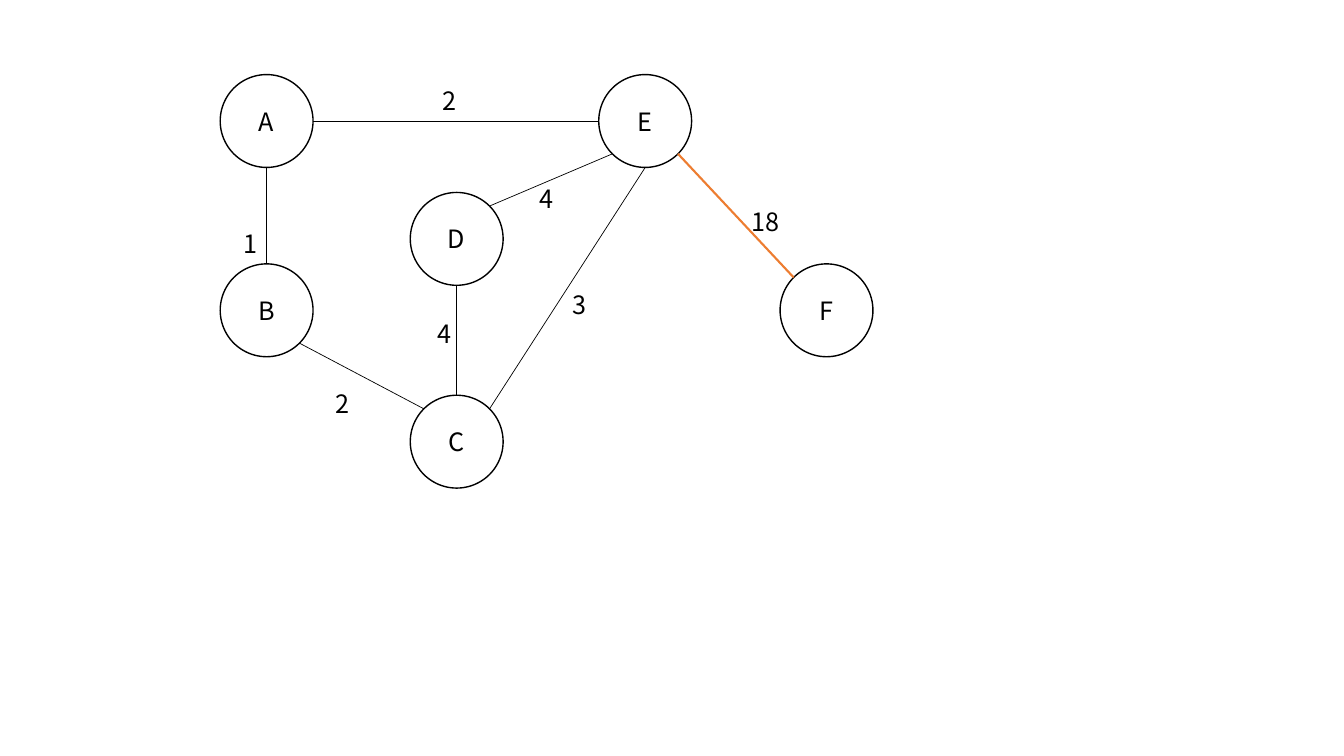
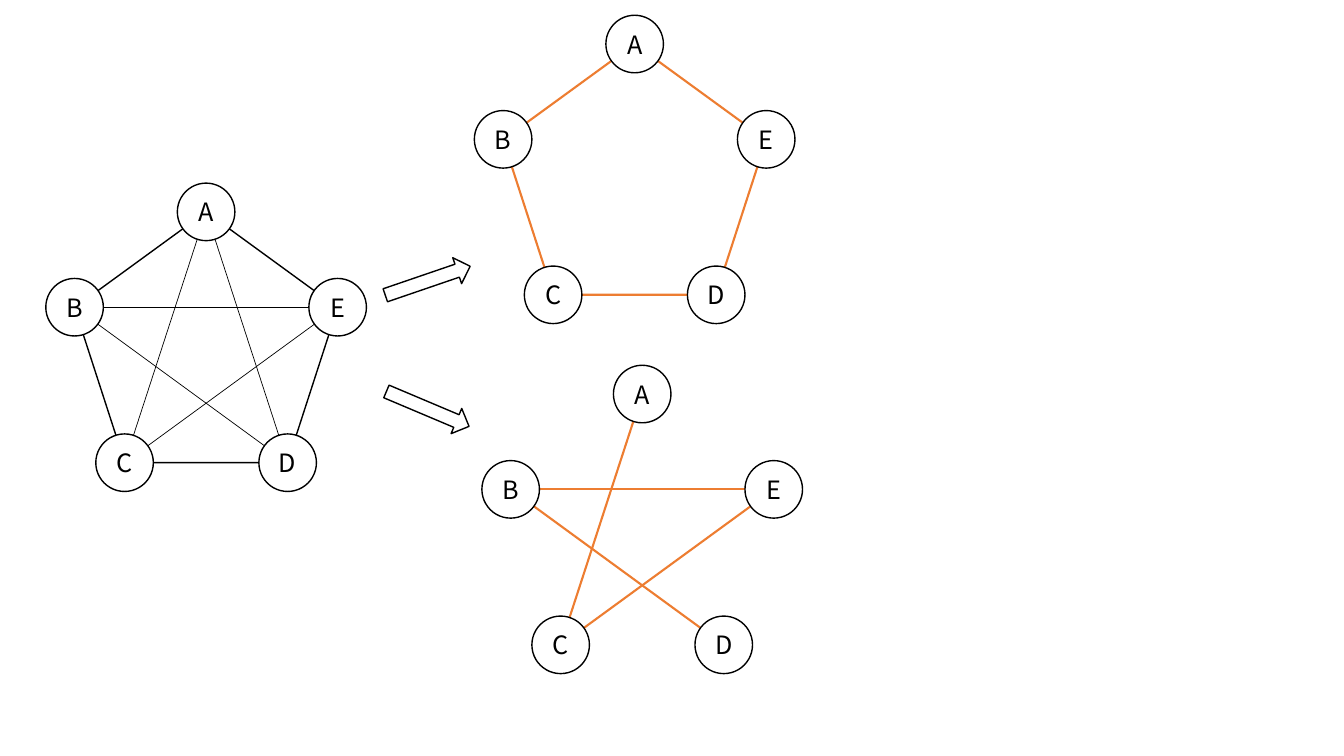
import dataclasses
import math

import lxml.etree
import pptx
import pptx.dml.color
import pptx.enum.shapes
import pptx.enum.text
import pptx.oxml.ns
import pptx.shapes.autoshape
import pptx.slide
import pptx.text.text
import pptx.util

Cm = pptx.util.Cm
Preset = pptx.enum.shapes.MSO_SHAPE
Color = pptx.dml.color.RGBColor

BLACK = Color(0x00, 0x00, 0x00)
WHITE = Color(0xFF, 0xFF, 0xFF)
ORANGE = Color(0xED, 0x7D, 0x31)
FONT = "Noto Sans CJK KR"
FONT_SIZE = 18

TOP, TOP_LEFT, LEFT, BOTTOM_LEFT, BOTTOM, BOTTOM_RIGHT, RIGHT, TOP_RIGHT = range(8)


@dataclasses.dataclass(frozen=True)
class Point:
    x: float
    y: float


@dataclasses.dataclass(frozen=True)
class Stroke:
    color: Color
    width: float


OUTLINE = Stroke(BLACK, 1)
THIN = Stroke(BLACK, 0.5)
ACCENT = Stroke(ORANGE, 1.5)


@dataclasses.dataclass(frozen=True)
class Node:
    name: str
    center: Point
    diameter: float

    def site(self, index: int) -> Point:
        angle = math.radians(90 + 45 * index)
        radius = self.diameter / 2
        return Point(
            self.center.x + radius * math.cos(angle),
            self.center.y - radius * math.sin(angle),
        )


@dataclasses.dataclass(frozen=True)
class Edge:
    start: str
    start_site: int
    end: str
    end_site: int
    weight: str
    label: Point
    stroke: Stroke = THIN


@dataclasses.dataclass(frozen=True)
class PentagonGraph:
    corner: Point
    border: Stroke | None
    diagonals: str
    diagonal_stroke: Stroke


@dataclasses.dataclass(frozen=True)
class Arrow:
    corner: Point
    rotation: float


COLUMNS = (6.72, 11.51, 16.26, 20.83)
UPPER_ROW, LOWER_ROW = 3.05, 7.82
WEIGHTED_DIAMETER = 2.34
WEIGHTED_NODES = {
    name: Node(name, Point(x, y), WEIGHTED_DIAMETER)
    for name, x, y in (
        ("A", COLUMNS[0], UPPER_ROW),
        ("B", COLUMNS[0], LOWER_ROW),
        ("D", COLUMNS[1], 6.02),
        ("E", COLUMNS[2], UPPER_ROW),
        ("F", COLUMNS[3], LOWER_ROW),
        ("C", COLUMNS[1], 11.13),
    )
}
WEIGHTED_EDGES = (
    Edge("A", RIGHT, "E", LEFT, "2", Point(10.9, 2.03)),
    Edge("A", BOTTOM, "B", TOP, "1", Point(5.89, 5.64)),
    Edge("B", BOTTOM_RIGHT, "C", TOP_LEFT, "2", Point(8.2, 9.65)),
    Edge("D", BOTTOM, "C", TOP, "4", Point(10.77, 7.9)),
    Edge("D", TOP_RIGHT, "E", BOTTOM_LEFT, "4", Point(13.34, 4.5)),
    Edge("C", TOP_RIGHT, "E", BOTTOM, "3", Point(14.17, 7.16)),
    Edge("E", BOTTOM_RIGHT, "F", TOP_LEFT, "18", Point(18.69, 5.08), ACCENT),
)

PENTAGON_WIDTH, PENTAGON_HEIGHT = 6.63, 6.32
PENTAGON_DIAMETER = 1.45
PENTAGON_GRAPHS = (
    PentagonGraph(Point(12.68, 1.11), ACCENT, "", ACCENT),
    PentagonGraph(Point(1.88, 5.34), OUTLINE, "BE CE AC AD BD", THIN),
    PentagonGraph(Point(12.87, 9.93), None, "BE CE AC BD", ACCENT),
)
ARROW_WIDTH, ARROW_HEIGHT = 2.26, 0.69
ARROWS = (Arrow(Point(9.65, 6.73), 341.1), Arrow(Point(9.65, 9.96), 22.9))


def write(para: pptx.text.text._Paragraph, words: str) -> None:
    span = para.add_run()
    span.text = words
    span.font.name = FONT
    span.font.size = pptx.util.Pt(FONT_SIZE)
    span.font.color.rgb = BLACK


def draw_shape(
    page: pptx.slide.Slide,
    preset: Preset,
    corner: Point,
    width: float,
    height: float,
    stroke: Stroke,
) -> pptx.shapes.autoshape.Shape:
    shape = page.shapes.add_shape(
        preset, Cm(corner.x), Cm(corner.y), Cm(width), Cm(height)
    )
    shape.shadow.inherit = False
    shape.fill.background()
    shape.line.color.rgb = stroke.color
    shape.line.width = pptx.util.Pt(stroke.width)
    return shape


def draw_line(
    page: pptx.slide.Slide, start: Point, end: Point, stroke: Stroke
) -> None:
    connector = page.shapes.add_connector(
        pptx.enum.shapes.MSO_CONNECTOR.STRAIGHT,
        Cm(start.x), Cm(start.y), Cm(end.x), Cm(end.y),
    )
    connector.line.color.rgb = stroke.color
    connector.line.width = pptx.util.Pt(stroke.width)
    lxml.etree.SubElement(
        connector.element.spPr, pptx.oxml.ns.qn("a:effectLst")
    )


def draw_node(page: pptx.slide.Slide, node: Node) -> None:
    radius = node.diameter / 2
    corner = Point(node.center.x - radius, node.center.y - radius)
    circle = draw_shape(
        page, Preset.OVAL, corner, node.diameter, node.diameter, OUTLINE
    )
    circle.fill.solid()
    circle.fill.fore_color.rgb = WHITE
    frame = circle.text_frame
    frame.margin_left = frame.margin_right = 0
    frame.margin_top = frame.margin_bottom = 0
    frame.vertical_anchor = pptx.enum.text.MSO_ANCHOR.MIDDLE
    para = frame.paragraphs[0]
    para.alignment = pptx.enum.text.PP_ALIGN.CENTER
    write(para, node.name)


def draw_weight(page: pptx.slide.Slide, edge: Edge) -> None:
    width = 0.5 + 0.36 * len(edge.weight)
    box = page.shapes.add_textbox(
        Cm(edge.label.x), Cm(edge.label.y), Cm(width), Cm(1.02)
    )
    frame = box.text_frame
    frame.word_wrap = False
    frame.auto_size = pptx.enum.text.MSO_AUTO_SIZE.SHAPE_TO_FIT_TEXT
    write(frame.paragraphs[0], edge.weight)


def pentagon_nodes(corner: Point) -> dict[str, Node]:
    ratios = {
        "B": (0, 0.38),
        "A": (0.5, 0),
        "E": (1, 0.38),
        "D": (0.81, 1),
        "C": (0.19, 1),
    }
    return {
        name: Node(
            name,
            Point(corner.x + across * PENTAGON_WIDTH,
                  corner.y + down * PENTAGON_HEIGHT),
            PENTAGON_DIAMETER,
        )
        for name, (across, down) in ratios.items()
    }


def draw_pentagon_graph(page: pptx.slide.Slide, graph: PentagonGraph) -> None:
    if graph.border:
        draw_shape(
            page, Preset.REGULAR_PENTAGON, graph.corner,
            PENTAGON_WIDTH, PENTAGON_HEIGHT, graph.border,
        )
    nodes = pentagon_nodes(graph.corner)
    for start, end in graph.diagonals.split():
        draw_line(
            page, nodes[start].center, nodes[end].center, graph.diagonal_stroke
        )
    for node in nodes.values():
        draw_node(page, node)


def build_weighted_page(page: pptx.slide.Slide) -> None:
    for node in WEIGHTED_NODES.values():
        draw_node(page, node)
    for edge in WEIGHTED_EDGES:
        start = WEIGHTED_NODES[edge.start].site(edge.start_site)
        end = WEIGHTED_NODES[edge.end].site(edge.end_site)
        draw_line(page, start, end, edge.stroke)
    for edge in WEIGHTED_EDGES:
        draw_weight(page, edge)


def build_pentagon_page(page: pptx.slide.Slide) -> None:
    for graph in PENTAGON_GRAPHS:
        draw_pentagon_graph(page, graph)
    for arrow in ARROWS:
        shape = draw_shape(
            page, Preset.RIGHT_ARROW, arrow.corner,
            ARROW_WIDTH, ARROW_HEIGHT, OUTLINE,
        )
        shape.rotation = arrow.rotation


def main() -> None:
    deck = pptx.Presentation()
    deck.slide_width = Cm(33.87)
    deck.slide_height = Cm(19.05)
    blank = deck.slide_layouts[6]
    for build in (build_weighted_page, build_pentagon_page):
        build(deck.slides.add_slide(blank))
    deck.save("out.pptx")


main()
